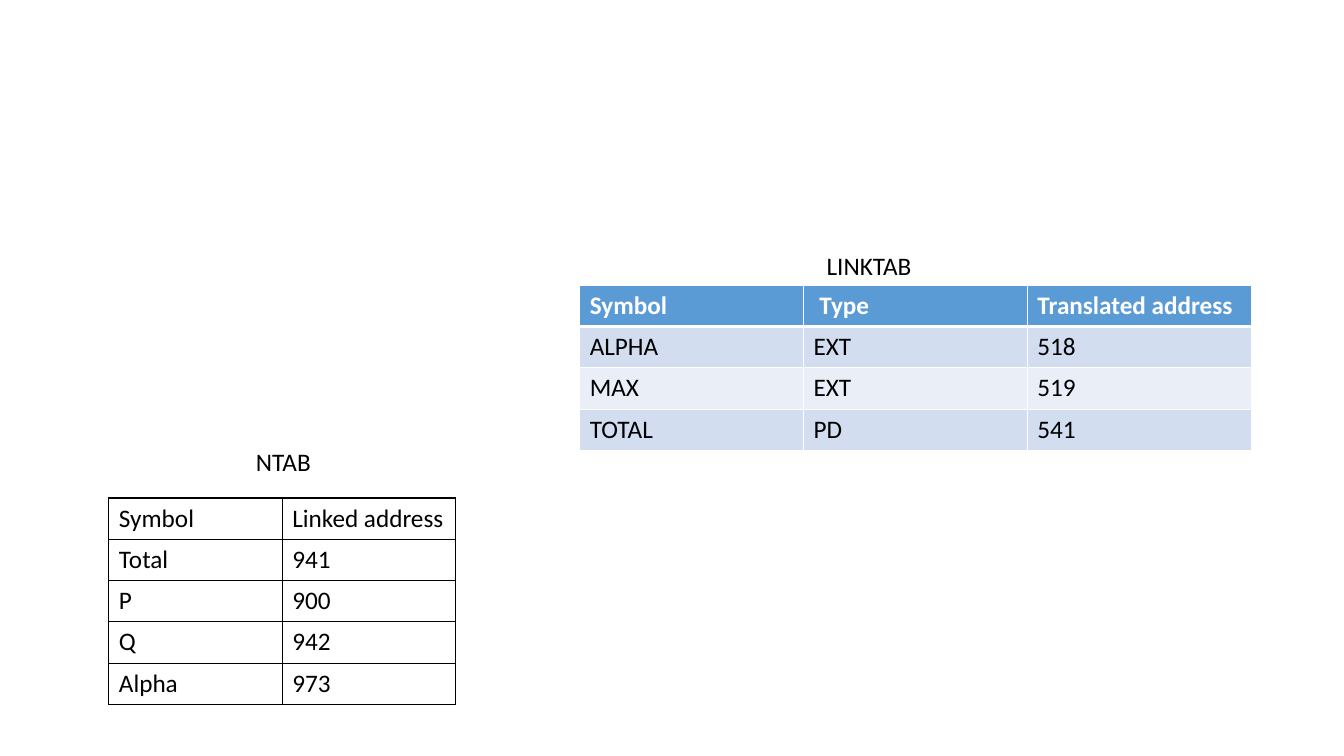
from dataclasses import dataclass

from lxml import etree
from pptx import Presentation
from pptx.dml.color import RGBColor
from pptx.enum.text import MSO_AUTO_SIZE
from pptx.oxml.ns import qn
from pptx.slide import Slide
from pptx.table import _Cell
from pptx.text.text import _Paragraph
from pptx.util import Inches, Pt

FIT_SHAPE = MSO_AUTO_SIZE.SHAPE_TO_FIT_TEXT
BLANK_LAYOUT = 6
ROW_HEIGHT = 0.41
CAPTION_HEIGHT = 0.4

COLORS = {
    "black": "000000",
    "white": "FFFFFF",
    "header": "5B9BD5",
    "band_dark": "D2DEEF",
    "band_light": "EAEFF7",
}
BODY_FONT = {"name": "Calibri", "size": Pt(18), "bold": False}
HEADER_FONT = BODY_FONT | {"bold": True}
PLAIN_TABLE = {
    "first_row": False,
    "horz_banding": False,
}


@dataclass(frozen=True)
class Caption:
    text: str
    left: float
    top: float
    width: float
    wrap: bool


@dataclass(frozen=True)
class SymbolTable:
    caption: Caption
    left: float
    top: float
    column_width: float
    rows: list[list[str]]
    border: str
    banded: bool


NTAB = SymbolTable(
    caption=Caption("NTAB", 2.44, 4.38, 0.75, wrap=False),
    left=1.08, top=4.94, column_width=1.72,
    rows=[
        ["Symbol", "Linked address"],
        ["Total", "941"],
        ["P", "900"],
        ["Q", "942"],
        ["Alpha", "973"],
    ],
    border="black", banded=False,
)
LINKTAB = SymbolTable(
    caption=Caption("LINKTAB", 8.1, 2.43, 2.68, wrap=True),
    left=5.75, top=2.83, column_width=2.22,
    rows=[
        ["Symbol", " Type", "Translated address"],
        ["ALPHA", "EXT", "518"],
        ["MAX", "EXT", "519"],
        ["TOTAL", "PD", "541"],
    ],
    border="white", banded=True,
)


def write(paragraph: _Paragraph, text: str, font: dict, color: str) -> None:
    run = paragraph.add_run()
    run.text = text
    for attribute, value in font.items():
        setattr(run.font, attribute, value)
    run.font.color.rgb = RGBColor.from_string(COLORS[color])


def add_borders(cell: _Cell, color: str, widths: dict[str, int]) -> None:
    """Draw the cell's edges; call before filling, as borders precede the fill."""
    properties = cell._tc.get_or_add_tcPr()
    for side, points in widths.items():
        line = etree.SubElement(properties, qn(f"a:ln{side}"), w=str(Pt(points)))
        fill = etree.SubElement(line, qn("a:solidFill"))
        etree.SubElement(fill, qn("a:srgbClr"), val=COLORS[color])


def format_cell(cell: _Cell, text: str, spec_table: SymbolTable, row: int) -> None:
    is_header = spec_table.banded and row == 0
    widths = {"L": 1, "R": 1, "T": 1, "B": 1}
    if spec_table.banded and row < 2:
        widths["B" if is_header else "T"] = 3
    add_borders(cell, spec_table.border, widths)

    if spec_table.banded:
        band = "band_dark" if row % 2 else "band_light"
        cell.fill.solid()
        cell.fill.fore_color.rgb = RGBColor.from_string(
            COLORS["header" if is_header else band])
    else:
        cell.fill.background()

    write(cell.text_frame.paragraphs[0], text,
          HEADER_FONT if is_header else BODY_FONT,
          "white" if is_header else "black")


def add_caption(slide: Slide, caption: Caption) -> None:
    box = slide.shapes.add_textbox(
        Inches(caption.left), Inches(caption.top),
        Inches(caption.width), Inches(CAPTION_HEIGHT))
    frame = box.text_frame
    frame.word_wrap = caption.wrap
    frame.auto_size = FIT_SHAPE
    write(frame.paragraphs[0], caption.text, BODY_FONT, "black")


def add_symbol_table(slide: Slide, symbols: SymbolTable) -> None:
    row_count, column_count = len(symbols.rows), len(symbols.rows[0])
    table = slide.shapes.add_table(
        row_count, column_count,
        Inches(symbols.left), Inches(symbols.top),
        Inches(symbols.column_width * column_count),
        Inches(ROW_HEIGHT * row_count)).table
    for attribute, value in PLAIN_TABLE.items():
        setattr(table, attribute, value)
    for row, values in enumerate(symbols.rows):
        for column, text in enumerate(values):
            format_cell(table.cell(row, column), text, symbols, row)


def main() -> None:
    presentation = Presentation()
    presentation.slide_width = Inches(13.33)
    presentation.slide_height = Inches(7.5)
    slide = presentation.slides.add_slide(presentation.slide_layouts[BLANK_LAYOUT])
    for symbols in (NTAB, LINKTAB):
        add_symbol_table(slide, symbols)
        add_caption(slide, symbols.caption)
    presentation.save("out.pptx")


if __name__ == "__main__":
    main()
